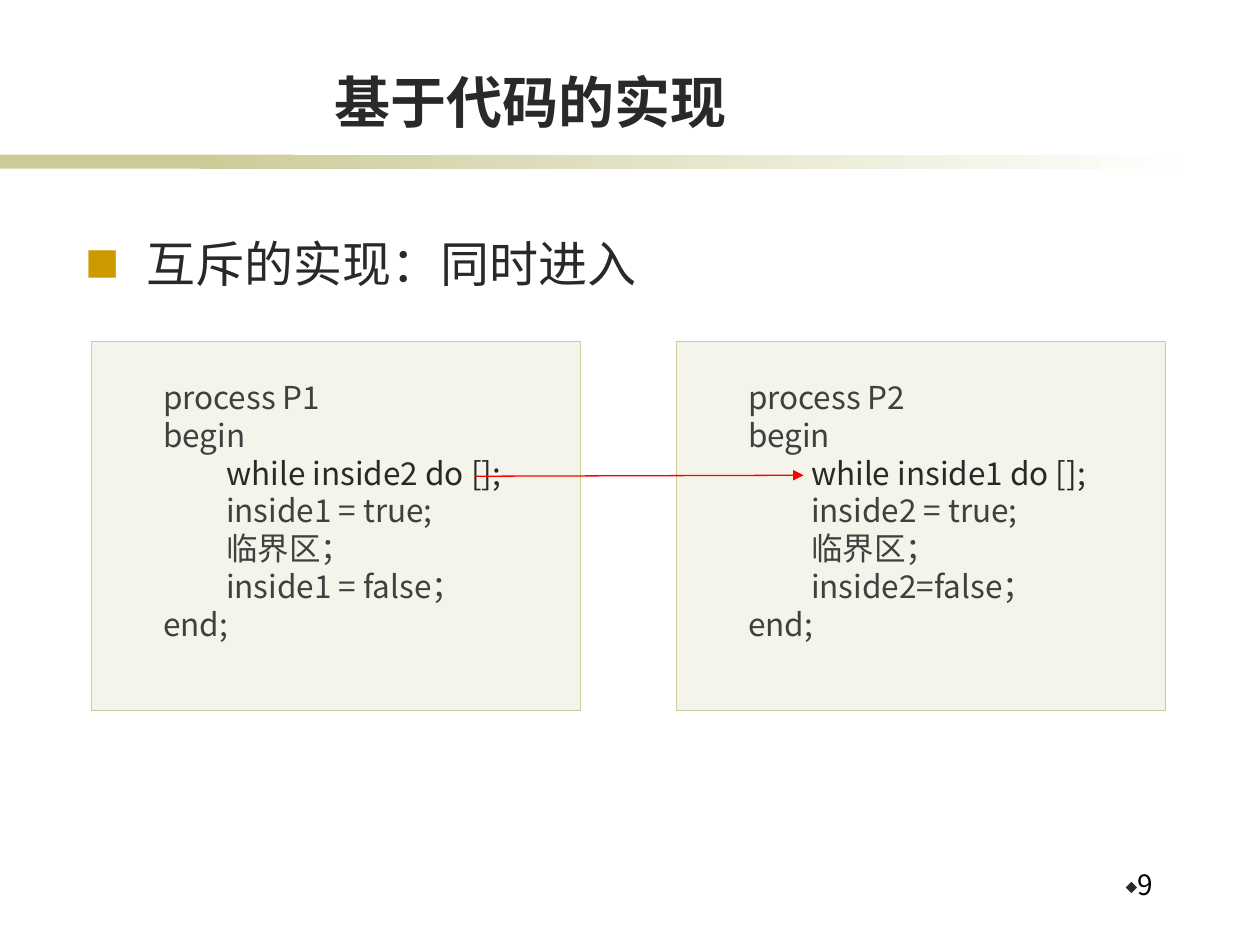
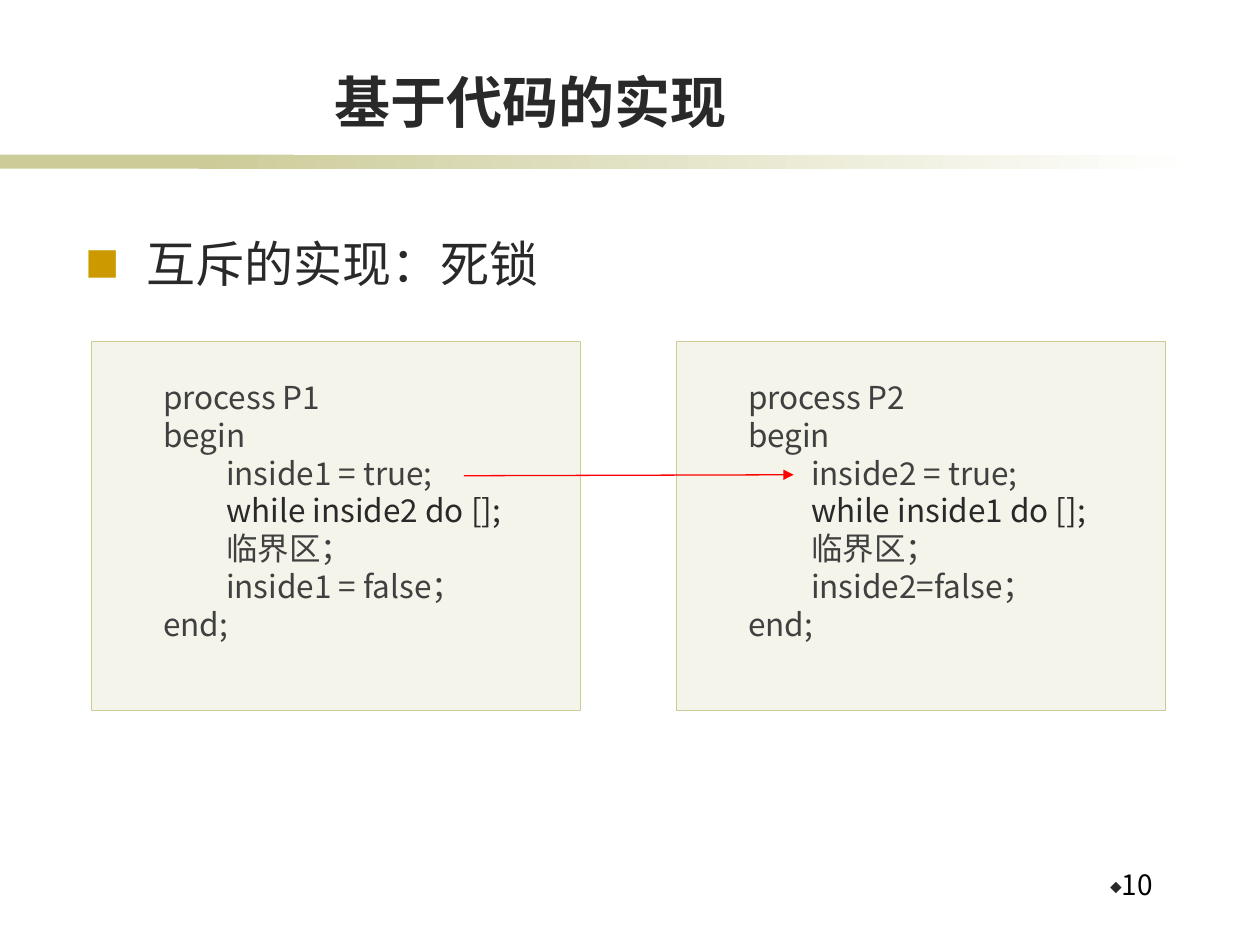
from dataclasses import dataclass
from typing import Any

from lxml.etree import SubElement
from pptx import Presentation
from pptx.dml.color import RGBColor
from pptx.enum.shapes import MSO_CONNECTOR, MSO_SHAPE
from pptx.enum.text import MSO_ANCHOR, MSO_AUTO_SIZE, PP_ALIGN
from pptx.oxml.ns import qn
from pptx.util import Cm, Pt

FONT = "Noto Sans CJK SC"
OLIVE, WHITE, RED, BLACK = "CCCC99", "FFFFFF", "FF0000", "000000"
INK, CODE_GREY, GOLD = "292929", "404040", "CC9900"
TITLE = "基于代码的实现"
TITLE_ONLY = 5
PANEL_TOP, PANEL_WIDTH, PANEL_HEIGHT = 6.88, 9.86, 7.44
PANEL_LEFTS = (1.85, 13.64)
CODE_INDENT = 1.27


@dataclass(frozen=True)
class Area:
    left: float
    top: float
    width: float
    height: float

    def lengths(self) -> tuple:
        return Cm(self.left), Cm(self.top), Cm(self.width), Cm(self.height)


@dataclass(frozen=True)
class Bullet:
    symbol: str
    colour: str
    percent: int
    hanging: float = 0


@dataclass(frozen=True)
class Arrow:
    start: float
    end: float
    start_y: float
    end_y: float


@dataclass(frozen=True)
class CodeLine:
    text: str
    colour: str = CODE_GREY
    indent: float = CODE_INDENT


@dataclass(frozen=True)
class Lesson:
    number: int
    heading: str
    wait_first: bool
    arrow: Arrow


LESSONS = (
    Lesson(9, "互斥的实现：同时进入", True, Arrow(9.58, 16.2, 9.6, 9.58)),
    Lesson(10, "互斥的实现：死锁", False, Arrow(9.35, 16, 9.59, 9.57)),
)


def colour(value: str) -> RGBColor:
    return RGBColor.from_string(value)


def apply(target: Any, values: dict) -> None:
    for name, value in values.items():
        setattr(target, name, value)


def add_span(para: Any, text: str, size: float, ink: str, bold: bool = False) -> None:
    span = para.add_run()
    span.text = text
    apply(span.font, {"size": Pt(size), "name": FONT, "bold": bold})
    span.font.color.rgb = colour(ink)
    SubElement(span._r.get_or_add_rPr(), qn("a:ea"), typeface=FONT)


def add_bullet(para: Any, bullet: Bullet) -> None:
    properties = para._p.get_or_add_pPr()
    properties.set("marL", str(Cm(bullet.hanging)))
    properties.set("indent", str(-Cm(bullet.hanging)))
    tint = SubElement(properties, qn("a:buClr"))
    SubElement(tint, qn("a:srgbClr"), val=bullet.colour)
    SubElement(properties, qn("a:buSzPct"), val=str(bullet.percent * 1000))
    SubElement(properties, qn("a:buFont"), typeface=FONT)
    SubElement(properties, qn("a:buChar"), char=bullet.symbol)


def add_text_box(page: Any, area: Area, **frame_values: Any) -> Any:
    frame = page.shapes.add_textbox(*area.lengths()).text_frame
    apply(frame, {"word_wrap": True, **frame_values})
    return frame


def add_block(page: Any, preset: MSO_SHAPE, area: Area) -> Any:
    block = page.shapes.add_shape(preset, *area.lengths())
    block.shadow.inherit = False
    block.fill.solid()
    block.fill.fore_color.rgb = colour(OLIVE)
    block.line.fill.background()
    return block


def add_bands(page: Any) -> None:
    add_block(page, MSO_SHAPE.RECTANGLE, Area(0, 3.12, 5.92, 0.28))
    fading = add_block(page, MSO_SHAPE.RECTANGLE, Area(4.01, 3.12, 20.12, 0.28))
    fading.fill.gradient()
    fading.fill.gradient_angle = 0
    for stop, shade in zip(fading.fill.gradient_stops, (OLIVE, WHITE)):
        stop.color.rgb = colour(shade)


def set_title(page: Any) -> None:
    title = page.shapes.title
    place = Area(2.9, 1.12, 15.6, 1.6).lengths()
    apply(title, dict(zip(("left", "top", "width", "height"), place)))
    frame = title.text_frame
    apply(frame, {
        "word_wrap": True,
        "auto_size": MSO_AUTO_SIZE.NONE,
        "vertical_anchor": MSO_ANCHOR.BOTTOM,
        "margin_bottom": 0,
    })
    para = frame.paragraphs[0]
    para.alignment = PP_ALIGN.CENTER
    add_span(para, TITLE, 32, INK, bold=True)


def add_heading(page: Any, text: str) -> None:
    para = add_text_box(page, Area(1.47, 4.5, 22.02, 2.2)).paragraphs[0]
    para.line_spacing = Pt(36)
    add_bullet(para, Bullet("■", GOLD, 70, 1.24))
    add_span(para, text, 28, INK)


def add_page_number(page: Any, number: int) -> None:
    para = add_text_box(page, Area(20.9, 17.45, 2.59, 1.27)).paragraphs[0]
    apply(para, {"alignment": PP_ALIGN.RIGHT, "line_spacing": 0.9})
    add_bullet(para, Bullet("⬥", INK, 60))
    add_span(para, str(number), 16, BLACK)


def process_code(own: int, wait_first: bool) -> list[CodeLine]:
    other = 3 - own
    entry = [
        CodeLine(f"while inside{other} do [];", INK),
        CodeLine(f"inside{own} = true;"),
    ]
    equals = " = " if own == 1 else "="
    return [
        CodeLine(f"process P{own}", indent=0),
        CodeLine("begin", indent=0),
        *(entry if wait_first else reversed(entry)),
        CodeLine("临界区；"),
        CodeLine(f"inside{own}{equals}false；"),
        CodeLine("end;", indent=0),
    ]


def add_process(page: Any, left: float, code: list[CodeLine]) -> None:
    area = Area(left, PANEL_TOP, PANEL_WIDTH, PANEL_HEIGHT)
    panel = add_block(page, MSO_SHAPE.FLOWCHART_PROCESS, area)
    tint = panel._element.spPr.find(qn("a:solidFill"))[0]
    SubElement(tint, qn("a:alpha"), val="20000")
    panel.line.color.rgb = colour(OLIVE)
    panel.line.width = Pt(0.75)
    frame = add_text_box(page, Area(left + 1.19, 7.44, 7.49, 5.64),
                         margin_top=Cm(0.18), margin_right=0)
    for index, line in enumerate(code):
        para = frame.add_paragraph() if index else frame.paragraphs[0]
        para.line_spacing = Pt(21.6)
        para._p.get_or_add_pPr().set("marL", str(Cm(line.indent)))
        add_span(para, line.text, 18, line.colour)


def add_arrow(page: Any, arrow: Arrow) -> None:
    connector = page.shapes.add_connector(
        MSO_CONNECTOR.STRAIGHT,
        Cm(arrow.start), Cm(arrow.start_y), Cm(arrow.end), Cm(arrow.end_y),
    )
    connector.line.color.rgb = colour(RED)
    connector.line.width = Pt(0.75)
    SubElement(connector.line._get_or_add_ln(), qn("a:tailEnd"), type="triangle")
    SubElement(connector._element.spPr, qn("a:effectLst"))


def add_lesson(deck: Any, lesson: Lesson) -> None:
    page = deck.slides.add_slide(deck.slide_layouts[TITLE_ONLY])
    add_bands(page)
    set_title(page)
    add_heading(page, lesson.heading)
    for own, left in enumerate(PANEL_LEFTS, start=1):
        add_process(page, left, process_code(own, lesson.wait_first))
    add_arrow(page, lesson.arrow)
    add_page_number(page, lesson.number)


def main() -> None:
    deck = Presentation()
    apply(deck, {"slide_width": Cm(25.4), "slide_height": Cm(19.05)})
    for lesson in LESSONS:
        add_lesson(deck, lesson)
    deck.save("out.pptx")


if __name__ == "__main__":
    main()
